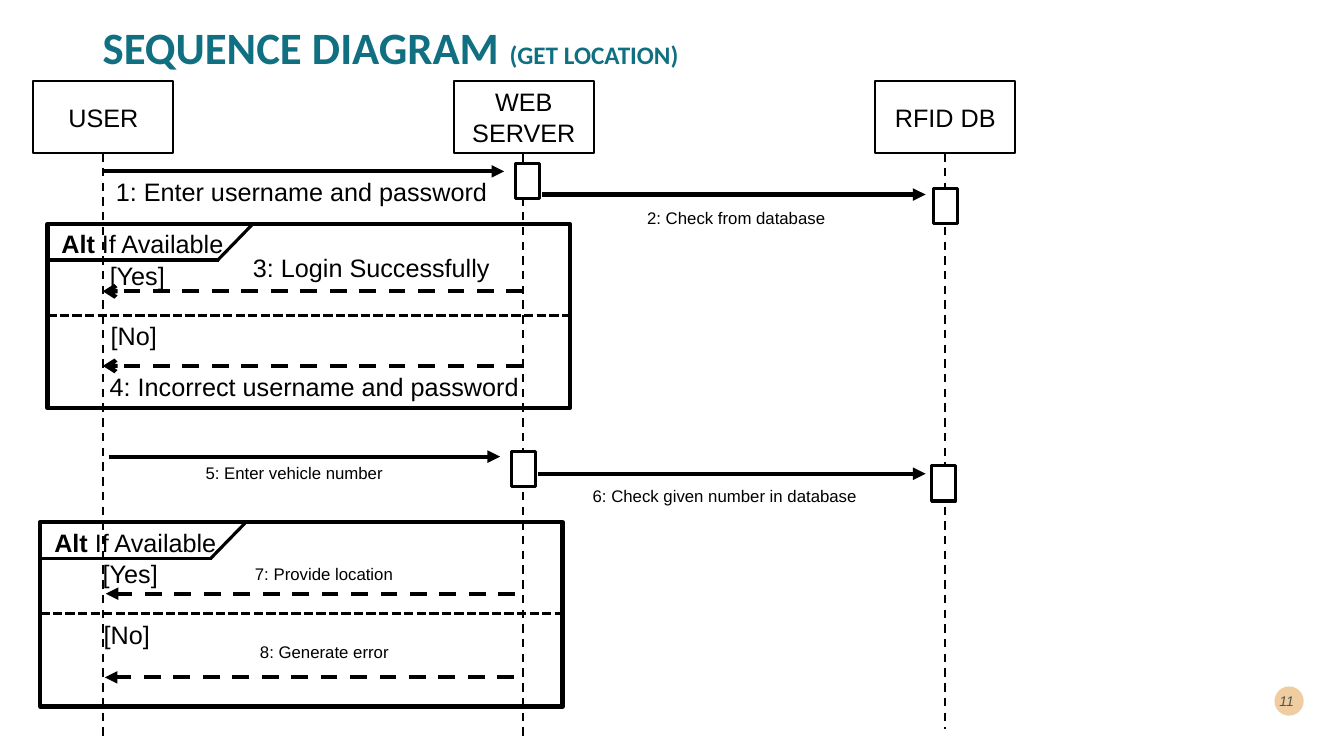
import lxml.etree
import pptx
import pptx.dml.color
import pptx.enum.dml
import pptx.enum.shapes
import pptx.enum.text
import pptx.oxml.ns
import pptx.util
from dataclasses import dataclass

PX = 9144  # EMU per px, 100 px to the inch
DASH = pptx.enum.dml.MSO_LINE.DASH
SHORT_DASH = pptx.enum.dml.MSO_LINE.SQUARE_DOT
SHAPE = pptx.enum.shapes.MSO_SHAPE
ALIGN = pptx.enum.text.PP_ALIGN
ANCHOR = pptx.enum.text.MSO_ANCHOR


@dataclass(frozen=True)
class Theme:
    title_font: str = "Calibri"
    body_font: str = "Arial"
    title_color: str = "107082"
    ink: str = "000000"
    paper: str = "FFFFFF"
    badge: str = "F0CDA1"
    badge_ink: str = "00292E"
    title_size: int = 32
    label_size: int = 18
    small_size: int = 12
    number_size: int = 10
    thin: float = 1.5
    medium: float = 2.25
    thick: float = 3


THEME = Theme()


def rgb(color):
    return pptx.dml.color.RGBColor.from_string(color)


def add_drawing_element(parent, tag, **attributes):
    lxml.etree.SubElement(parent, pptx.oxml.ns.qn(tag), attributes)


def format_run(run, size, color=THEME.ink, font=THEME.body_font, bold=False):
    run.font.name = font
    run.font.size = pptx.util.Pt(size)
    run.font.bold = bold
    run.font.color.rgb = rgb(color)


def add_text(slide, box, parts, size=THEME.label_size, wrap=False):
    """Add a one-paragraph text box; parts are (text, bold) pairs."""
    textbox = slide.shapes.add_textbox(*(length * PX for length in box))
    textbox.text_frame.word_wrap = wrap
    paragraph = textbox.text_frame.paragraphs[0]
    for text, bold in parts:
        run = paragraph.add_run()
        run.text = text
        format_run(run, size, bold=bold)
    return textbox


def add_box(slide, box, width, fill=THEME.paper):
    """Add an outlined rectangle; without a fill it is see-through."""
    shape = slide.shapes.add_shape(SHAPE.RECTANGLE, *(length * PX for length in box))
    shape.shadow.inherit = False
    if fill:
        shape.fill.solid()
        shape.fill.fore_color.rgb = rgb(fill)
    else:
        shape.fill.background()
    shape.line.color.rgb = rgb(THEME.ink)
    shape.line.width = pptx.util.Pt(width)
    return shape


def add_line(slide, start, end, width, dash=None, head=None):
    points = [length * PX for length in (*start, *end)]
    connector = slide.shapes.add_connector(
        pptx.enum.shapes.MSO_CONNECTOR.STRAIGHT, *points)
    connector.line.color.rgb = rgb(THEME.ink)
    connector.line.width = pptx.util.Pt(width)
    if dash:
        connector.line.dash_style = dash
    properties = connector._element.spPr
    if head:
        add_drawing_element(properties.find(pptx.oxml.ns.qn("a:ln")), "a:tailEnd", type=head)
    add_drawing_element(properties, "a:effectLst")


def add_title(slide, box):
    textbox = add_text(slide, box, [("SEQUENCE DIAGRAM ", True), ("(GET LOCATION)", True)],
                       wrap=True)
    textbox.text_frame.vertical_anchor = ANCHOR.MIDDLE
    paragraph = textbox.text_frame.paragraphs[0]
    paragraph.line_spacing = 0.9
    for run, size in zip(paragraph.runs, (THEME.title_size, THEME.label_size)):
        format_run(run, size, THEME.title_color, THEME.title_font, bold=True)


def add_page_number(slide, box, number):
    left, top, width, height = box
    badge = slide.shapes.add_shape(
        SHAPE.OVAL, (left + 10) * PX, (top + 6) * PX, 29 * PX, 29 * PX)
    badge.shadow.inherit = False
    badge.fill.solid()
    badge.fill.fore_color.rgb = rgb(THEME.badge)
    badge.line.fill.background()
    textbox = add_text(slide, box, [(number, False)], THEME.number_size, wrap=True)
    textbox.text_frame.vertical_anchor = ANCHOR.MIDDLE
    paragraph = textbox.text_frame.paragraphs[0]
    paragraph.alignment = ALIGN.RIGHT
    run = paragraph.runs[0]
    format_run(run, THEME.number_size, THEME.badge_ink)
    run.font.italic = True
    color = run._r.rPr.find(".//" + pptx.oxml.ns.qn("a:srgbClr"))
    add_drawing_element(color, "a:alpha", val="70000")


def add_participant(slide, box, name, lifeline_end):
    left, top, width, height = box
    shape = add_box(slide, box, THEME.thin)
    frame = shape.text_frame
    frame.text = name
    frame.word_wrap = True
    frame.vertical_anchor = ANCHOR.MIDDLE
    frame.paragraphs[0].alignment = ALIGN.CENTER
    format_run(frame.paragraphs[0].runs[0], THEME.label_size)
    center = left + width // 2
    add_line(slide, (center, top + height), (center, lifeline_end), THEME.thin, DASH)


def add_alternative(slide, box):
    """Add an Alt frame with its corner tag, divider and two guards."""
    left, top, width, height = box
    tag_bottom, divider = top + 36, top + 91
    add_box(slide, box, THEME.thick, fill=None)
    add_line(slide, (left, tag_bottom), (left + 170, tag_bottom), THEME.medium)
    add_line(slide, (left + 169, tag_bottom), (left + 204, top), THEME.medium)
    add_line(slide, (left, divider), (left + width, divider), THEME.medium, SHORT_DASH)
    add_text(slide, (left + 4, top, 182, 40), [("Alt", True), (" If Available", False)])
    add_text(slide, (left + 52, top + 31, 75, 40), [("[Yes]", False)])
    add_text(slide, (left + 53, divider, 66, 40), [("[No]", False)])


def add_message(slide, start, end, y, text, label_box, head="triangle", dash=None,
                size=THEME.small_size):
    add_line(slide, (start, y), (end, y), THEME.thick, dash, head)
    add_text(slide, label_box, [(text, False)], size, wrap=size == THEME.small_size)


def add_sequence(slide):
    for left, name, lifeline_end in ((33, "USER", 734), (450, "WEB SERVER", 734),
                                     (868, "RFID DB", 723)):
        add_participant(slide, (left, 80, 139, 72), name, lifeline_end)
    for left, top in ((511, 162), (926, 187), (507, 448), (924, 462)):
        add_box(slide, (left, top, 24, 35), THEME.medium)
    for left, top in ((47, 222), (40, 518)):
        add_alternative(slide, (left, top, 518, 183))

    large = {"size": THEME.label_size}
    reply = {"dash": DASH}
    open_reply = {"dash": DASH, "head": "arrow", **large}
    messages = (
        (102, 500, 170, "1: Enter username and password", (105, 170, 392, 40), large),
        (538, 918, 193, "2: Check from database", (632, 201, 207, 30), {}),
        (519, 102, 289, "3: Login Successfully", (241, 245, 257, 40), open_reply),
        (519, 102, 363, "4: Incorrect username and password", (99, 363, 430, 40),
         open_reply),
        (108, 496, 453, "5: Enter vehicle number", (194, 454, 207, 30), {}),
        (534, 918, 470, "6: Check given number in database", (578, 477, 293, 30), {}),
        (511, 105, 589, "7: Provide location", (243, 554, 229, 30), reply),
        (510, 104, 672, "8: Generate error", (248, 632, 229, 30), reply),
    )
    for start, end, y, text, label_box, style in messages:
        add_message(slide, start, end, y, text, label_box, **style)


def main():
    presentation = pptx.Presentation()
    presentation.slide_width = 1333 * PX
    presentation.slide_height = 750 * PX
    slide = presentation.slides.add_slide(presentation.slide_layouts[6])
    add_title(slide, (92, 5, 1150, 89))
    add_page_number(slide, (1254, 675, 39, 40), "11")
    add_sequence(slide)
    presentation.save("out.pptx")


if __name__ == "__main__":
    main()
